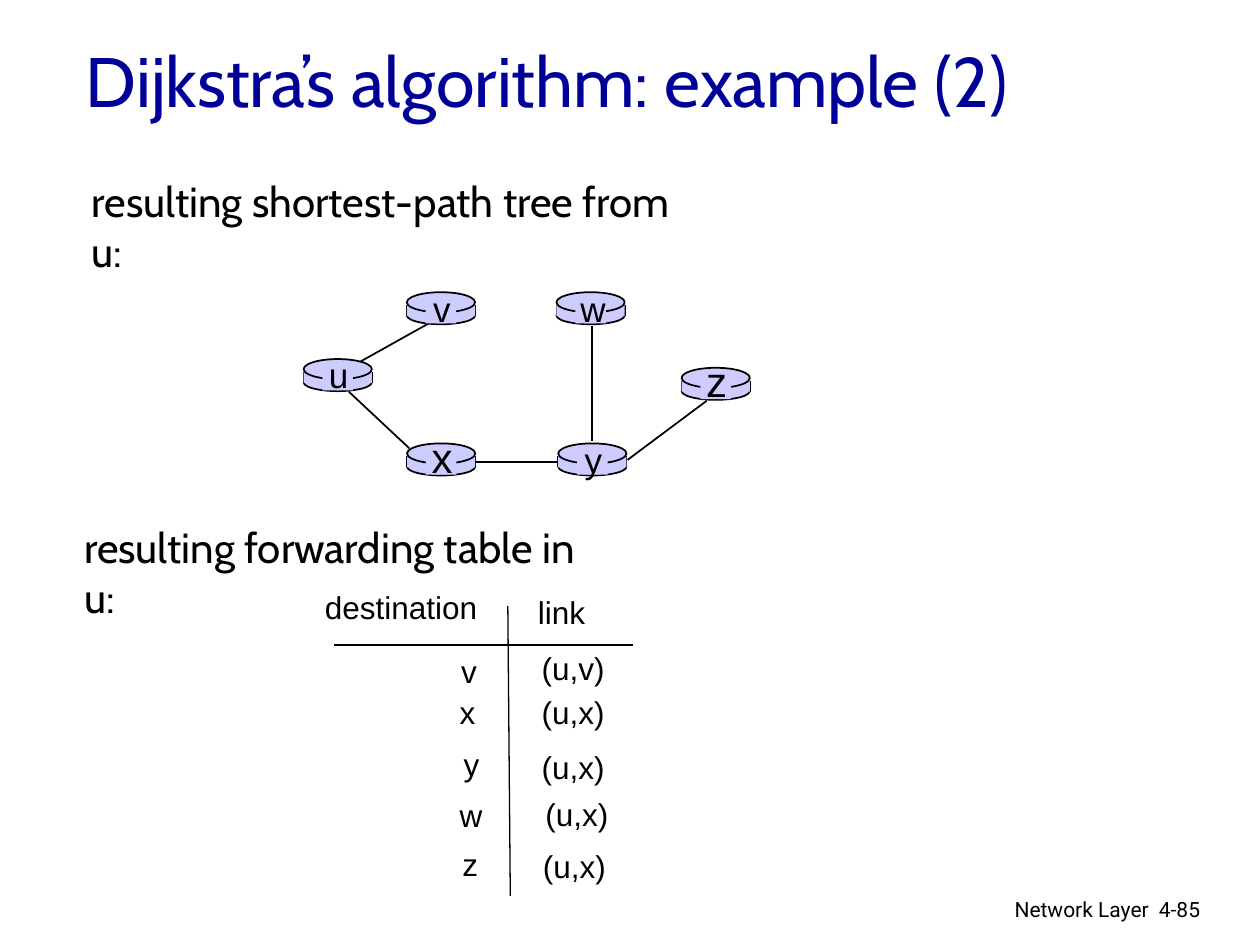
from dataclasses import dataclass

from lxml.etree import SubElement
from pptx import Presentation
from pptx.dml.color import RGBColor
from pptx.enum.shapes import MSO_CONNECTOR, MSO_SHAPE
from pptx.enum.text import MSO_ANCHOR, PP_ALIGN
from pptx.oxml.ns import qn
from pptx.util import Pt


@dataclass(frozen=True)
class Theme:
    ink: RGBColor = RGBColor(0, 0, 0)
    navy: RGBColor = RGBColor(0, 0, 0x99)
    lilac: RGBColor = RGBColor(0xCC, 0xCC, 0xFF)
    head: str = "Cabin"
    body: str = "Arial"
    foot: str = "Roboto"
    title: int = 40
    lead: int = 24
    node: int = 20
    cell: int = 18
    small: int = 12
    line: float = 1
    thin: float = 0.75


THEME = Theme()

NODES = {
    "u": (0.5, 45.2, THEME.node),
    "x": (59.6, 93.4, THEME.lead),
    "v": (59.5, 7, THEME.node),
    "w": (145, 7, THEME.node),
    "y": (146, 93.4, THEME.node),
    "z": (216.5, 50.2, THEME.lead),
}
LINKS = [
    (33, 46.6, 75.4, 22.9),
    (165.4, 26.5, 165.4, 92),
    (185.6, 102.8, 230.9, 69),
    (61, 96.3, 26.4, 63.9),
]
CELLS = [
    ("destination", 0, 0),
    ("link", 121.7, 2.9),
    ("v", 77.8, 36.7),
    ("(u,v)", 123.8, 34.6),
    ("x", 77, 59.8),
    ("(u,x)", 123.8, 59.8),
    ("y", 79.2, 89.3),
    ("(u,x)", 123.8, 91.4),
    ("w", 77, 118.8),
    ("(u,x)", 126, 118.1),
    ("z", 78.5, 146.9),
    ("(u,x)", 124.5, 147.6),
]


def write(slide, text, box, size, font=THEME.body, color=THEME.ink,
          align=PP_ALIGN.LEFT, anchor=MSO_ANCHOR.TOP, wrap=False):
    frame = slide.shapes.add_textbox(*map(Pt, box)).text_frame
    frame.word_wrap = wrap
    frame.vertical_anchor = anchor
    para = frame.paragraphs[0]
    para.alignment = align
    run = para.add_run()
    run.text = text
    run.font.size = Pt(size)
    run.font.name = font
    run.font.color.rgb = color


def fill(slide, kind, box, line=None):
    shape = slide.shapes.add_shape(kind, *map(Pt, box))
    shape.shadow.inherit = False
    shape.fill.solid()
    shape.fill.fore_color.rgb = THEME.lilac
    if line:
        shape.line.color.rgb = THEME.ink
        shape.line.width = Pt(line)
    else:
        shape.line.fill.background()
    return shape


def draw(slide, ends, width):
    line = slide.shapes.add_connector(MSO_CONNECTOR.STRAIGHT, *map(Pt, ends))
    line.line.color.rgb = THEME.ink
    line.line.width = Pt(width)
    SubElement(line._element.spPr, qn("a:effectLst"))
    return line


def router(slide, left, top):
    wide = 39
    fill(slide, MSO_SHAPE.OVAL, (left, top + 8.3, wide, 10), THEME.line)
    for side in (left, left + wide):
        draw(slide, (side, top + 7.4, side, top + 13.7), THEME.line)
    core = fill(slide, MSO_SHAPE.RECTANGLE, (left, top + 7.4, wide, 6.3))
    fill(slide, MSO_SHAPE.OVAL, (left, top, wide, 11.5), THEME.line)
    return core


def label(slide, name, left, top, size):
    mid = left + 19.5
    fill(slide, MSO_SHAPE.RECTANGLE, (mid - 8.75, top + 1.4, 17.5, 16.5))
    high = 31 if size == THEME.node else 36
    centre = top + (9 if size == THEME.node else 7.7)
    write(slide, name, (mid - 13, centre - high / 2, 27, high), size,
          align=PP_ALIGN.CENTER)


def tree(slide, left, top):
    spots = {name: (left + x, top + y) for name, (x, y, _) in NODES.items()}
    cores = {name: router(slide, *spot) for name, spot in spots.items()}
    for x1, y1, x2, y2 in LINKS:
        draw(slide, (left + x1, top + y1, left + x2, top + y2), THEME.line)
    link = draw(slide, (left + 146, top + 104, left + 99, top + 104), THEME.line)
    link.begin_connect(cores["y"], 1)
    link.end_connect(cores["x"], 3)
    for name, (_, _, size) in NODES.items():
        label(slide, name, *spots[name], size)


def routes(slide, left, top):
    draw(slide, (left + 111.6, top + 13.7, left + 113, top + 179.3), THEME.thin)
    draw(slide, (left + 12.2, top + 36, left + 182.9, top + 36), THEME.thin)
    for text, x, y in CELLS:
        wide = 14 + 8 * len(text)
        write(slide, text, (left + x, top + y, wide, 29), THEME.cell)


def footer(slide, left, top):
    write(slide, "Network Layer", (left, top, 228, 22), THEME.small,
          THEME.foot, align=PP_ALIGN.RIGHT, wrap=True)
    write(slide, "4-85", (left + 219.6, top, 53, 22), THEME.small,
          THEME.foot, wrap=True)


def main():
    deck = Presentation()
    deck.slide_width, deck.slide_height = Pt(720), Pt(540)
    slide = deck.slides.add_slide(deck.slide_layouts[6])
    footer(slide, 435.6, 509)
    write(slide, "Dijkstra’s algorithm: example (2)", (42, 12, 612, 67),
          THEME.title, THEME.head, THEME.navy, anchor=MSO_ANCHOR.MIDDLE, wrap=True)
    tree(slide, 173, 160)
    write(slide, "resulting shortest-path tree from u:", (45.4, 96.5, 360, 36),
          THEME.lead, THEME.head, wrap=True)
    routes(slide, 178.6, 332.6)
    write(slide, "resulting forwarding table in u:", (41, 294.5, 311, 36),
          THEME.lead, THEME.head, wrap=True)
    deck.save("out.pptx")


if __name__ == "__main__":
    main()
